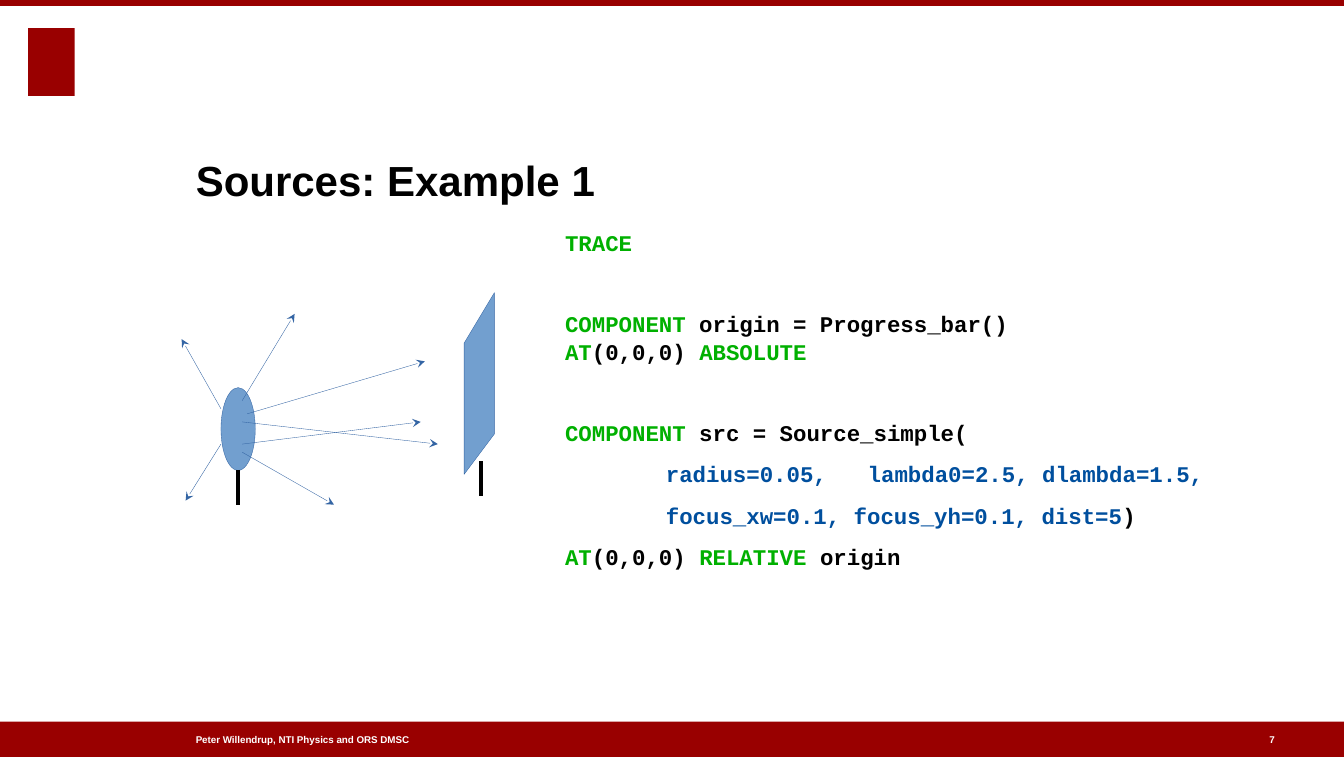
from lxml.etree import SubElement
from pptx import Presentation
from pptx.dml.color import RGBColor
from pptx.enum.shapes import MSO_CONNECTOR, MSO_SHAPE
from pptx.enum.text import MSO_ANCHOR, MSO_AUTO_SIZE, PP_ALIGN
from pptx.oxml.ns import qn
from pptx.util import Inches, Pt

RED = RGBColor(0x99, 0x00, 0x00)
WHITE = RGBColor(0xFF, 0xFF, 0xFF)
BLACK = RGBColor(0x00, 0x00, 0x00)
GREEN = RGBColor(0x00, 0xB0, 0x00)
NAVY = RGBColor(0x00, 0x4F, 0x9E)
SKY = RGBColor(0x72, 0x9F, 0xCF)
STEEL = RGBColor(0x34, 0x65, 0xA4)

CELL = Inches(0.1)
COLUMNS, ROWS = 133.2, 75
MARGIN = 19.4
BAND = 3.5


def cells(*counts):
    """Turn counts of grid columns or rows into lengths."""
    return [round(count * CELL) for count in counts]


def write(paragraph, text, size=16, color=BLACK, font="Courier New"):
    run = paragraph.add_run()
    run.text = text
    run.font.size = Pt(size)
    run.font.bold = True
    run.font.name = font
    run.font.color.rgb = color


deck = Presentation()
deck.slide_width, deck.slide_height = cells(COLUMNS, ROWS)
slide = deck.slides.add_slide(deck.slide_layouts[1])
shapes = slide.shapes

# Bands and emblem block
for left, top, width, height in [
    (2.8, 2.8, 4.6, 6.7),
    (0, ROWS - BAND, COLUMNS, BAND),
    (0, 0, COLUMNS, 0.6),
]:
    block = shapes.add_shape(MSO_SHAPE.RECTANGLE, *cells(left, top, width, height))
    block.shadow.inherit = False
    block.fill.solid()
    block.fill.fore_color.rgb = RED
    block.line.fill.background()

# Title and code frames
heading, code = shapes.title, slide.placeholders[1]
for frame, area, inset in [
    (heading, (MARGIN, 15.3, 101.8, 4.6), 0),
    (code, (55.5, 22, 73, 32.8), 0.5),
]:
    frame.left, frame.top, frame.width, frame.height = cells(*area)
    body = frame.text_frame
    body.auto_size = MSO_AUTO_SIZE.NONE
    body.vertical_anchor = MSO_ANCHOR.TOP
    body.margin_left, body.margin_top, body.margin_right, body.margin_bottom = cells(*[inset] * 4)

title_line = heading.text_frame.paragraphs[0]
title_line.alignment = PP_ALIGN.LEFT
write(title_line, "Sources: Example 1", size=30, font="Arial")

# Code: space above in points, then the coloured pieces of each line
LINE_GAP, SECTION_GAP = 9, 37
code_lines = [
    (LINE_GAP, [("TRACE", GREEN)]),
    (SECTION_GAP, [("COMPONENT", GREEN), (" origin = Progress_bar()", BLACK)]),
    (0, [("AT", GREEN), ("(0,0,0) ", BLACK), ("ABSOLUTE", GREEN)]),
    (SECTION_GAP, [("COMPONENT", GREEN), (" src = Source_simple(", BLACK)]),
    (LINE_GAP, [("\tradius=0.05,\tlambda0=2.5, dlambda=1.5,", NAVY)]),
    (LINE_GAP, [("\tfocus_xw=0.1, focus_yh=0.1, dist=5", NAVY), (")", BLACK)]),
    (LINE_GAP, [("AT", GREEN), ("(0,0,0) ", BLACK), ("RELATIVE", GREEN), (" origin", BLACK)]),
]
for number, (gap, pieces) in enumerate(code_lines):
    line = code.text_frame.add_paragraph() if number else code.text_frame.paragraphs[0]
    line.space_before = Pt(gap)
    line.line_spacing = 1.07
    properties = line._p.get_or_add_pPr()
    for key, value in [("marL", 0), ("indent", 0), ("defTabSz", Inches(1))]:
        properties.set(key, str(value))
    SubElement(properties, qn("a:buNone"))
    for text, color in pieces:
        write(line, text, color=color)

# Footer
for text, left, width in [
    ("Peter Willendrup, NTI Physics and ORS DMSC", MARGIN, 37.2),
    ("7", 125.8, 1.4),
]:
    footer = shapes.add_textbox(*cells(left, 72.6, width, 1.4)).text_frame
    footer.word_wrap = True
    footer.vertical_anchor = MSO_ANCHOR.MIDDLE
    footer.margin_left = footer.margin_top = footer.margin_right = footer.margin_bottom = 0
    write(footer.paragraphs[0], text, size=7, color=WHITE, font="Arial")

# Source disc and target window
source = shapes.add_shape(MSO_SHAPE.OVAL, *cells(21.9, 38.4, 3.4, 8.2))
outline = shapes.build_freeform(49, 29.3, scale=CELL)
outline.add_line_segments([(46, 33.9), (46, 47.4), (49, 42.9)], close=True)
target = outline.convert_to_shape()
for part in (source, target):
    part.shadow.inherit = False
    part.fill.solid()
    part.fill.fore_color.rgb = SKY
    part.line.color.rgb = STEEL
    part.line.width = Pt(0.25)

# Rays leaving the source, and the two stands
rays = [
    (24.5, 41, 42.1, 35.8),
    (24, 41.8, 43.4, 44),
    (24, 44, 41.7, 41.8),
    (24, 39.7, 29.2, 31.1),
    (24, 44.8, 33.1, 50),
    (21.9, 40.5, 18, 33.6),
    (21.9, 44, 18.4, 49.6),
]
stands = [(23.6, 46.6, 23.6, 50), (47.7, 45.7, 47.7, 49.1)]
for ends in rays + stands:
    is_ray = ends in rays
    stroke = shapes.add_connector(MSO_CONNECTOR.STRAIGHT, *cells(*ends))
    stroke.line.color.rgb = STEEL if is_ray else BLACK
    stroke.line.width = Pt(0.25 if is_ray else 2.83)
    if is_ray:
        SubElement(stroke.line._get_or_add_ln(), qn("a:tailEnd"), type="stealth")
    SubElement(stroke._element.spPr, qn("a:effectLst"))

deck.save("out.pptx")
